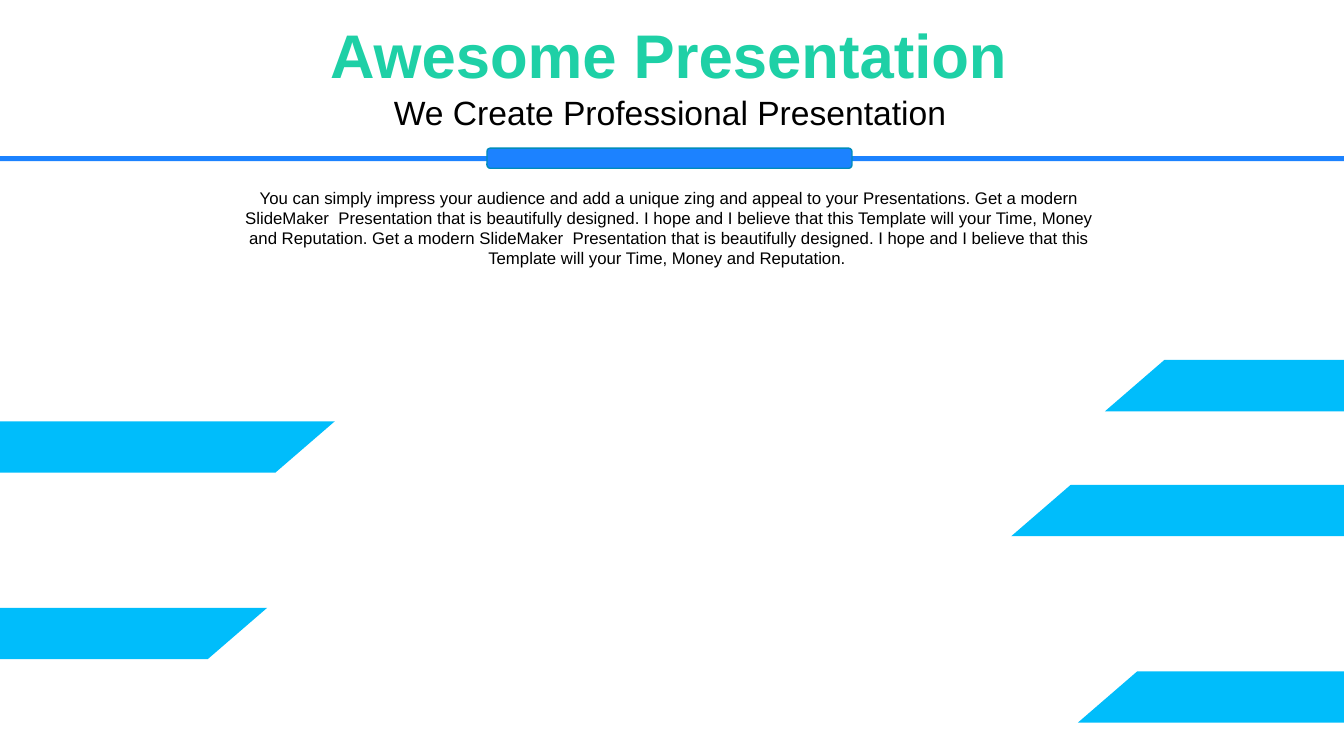
from dataclasses import dataclass

from pptx import Presentation
from pptx.dml.color import RGBColor
from pptx.enum.shapes import MSO_SHAPE
from pptx.enum.text import MSO_ANCHOR, MSO_AUTO_SIZE, PP_ALIGN
from pptx.util import Inches, Pt

RECT, ROUNDED = MSO_SHAPE.RECTANGLE, MSO_SHAPE.ROUNDED_RECTANGLE
TOP, MIDDLE = MSO_ANCHOR.TOP, MSO_ANCHOR.MIDDLE
CENTER = PP_ALIGN.CENTER
GROW = MSO_AUTO_SIZE.SHAPE_TO_FIT_TEXT


@dataclass(frozen=True)
class Theme:
    font: str = "Arial"
    title: RGBColor = RGBColor(0x1E, 0xD0, 0xA6)
    text: RGBColor = RGBColor(0x00, 0x00, 0x00)
    divider: RGBColor = RGBColor(0x1C, 0x82, 0xFF)
    outline: RGBColor = RGBColor(0x00, 0x8C, 0xBA)
    band: RGBColor = RGBColor(0x00, 0xBD, 0xFB)
    title_size: int = 44
    subtitle_size: int = 24
    body_size: int = 12


THEME = Theme()
BAND_HEIGHT = 0.51
BAND_SLANT = 0.59

# Outer edge, tip and top of each band, in inches
BANDS = [
    (13.33, 10.03, 4.81),
    (13.6, 10.96, 3.57),
    (-0.13, 3.32, 4.18),
    (-0.12, 2.65, 6.03),
    (13.46, 10.69, 6.66),
]

SENTENCE = (
    "Get a modern SlideMaker  Presentation that is beautifully designed. "
    "I hope and I believe that this Template will your Time, Money and Reputation. "
)
BODY = (
    "You can simply impress your audience and add a unique zing and appeal "
    "to your Presentations. " + SENTENCE * 2
)


def add_text(slide, box, text, size, color, bold=False, anchor=TOP,
             insets=(0.1, 0.05, 0.1, 0.05)):
    tf = slide.shapes.add_textbox(*map(Inches, box)).text_frame
    left, top, right, bottom = map(Inches, insets)
    frame_format = {
        "word_wrap": True, "auto_size": GROW, "vertical_anchor": anchor,
        "margin_left": left, "margin_top": top,
        "margin_right": right, "margin_bottom": bottom,
    }
    for name, value in frame_format.items():
        setattr(tf, name, value)
    p = tf.paragraphs[0]
    p.alignment = CENTER
    r = p.add_run()
    r.text = text
    for name, value in {"name": THEME.font, "size": Pt(size), "bold": bold}.items():
        setattr(r.font, name, value)
    r.font.color.rgb = color


def paint(sp, fill, outline=None):
    sp.shadow.inherit = False
    sp.fill.solid()
    sp.fill.fore_color.rgb = fill
    if outline is None:
        sp.line.fill.background()
    else:
        sp.line.color.rgb = outline
        sp.line.width = Pt(1)


def add_bar(slide, kind, box, outline=None):
    sp = slide.shapes.add_shape(kind, *map(Inches, box))
    paint(sp, THEME.divider, outline)


def add_band(slide, edge, tip, top):
    """Band running from a slide edge to a slanted end; it leans right on both sides."""
    bottom = top + BAND_HEIGHT
    if edge > tip:
        upper, lower = tip + BAND_SLANT, tip
    else:
        upper, lower = tip, tip - BAND_SLANT
    start, *rest = [(Inches(x), Inches(y)) for x, y in
                    ((edge, top), (upper, top), (lower, bottom), (edge, bottom))]
    builder = slide.shapes.build_freeform(*start)
    builder.add_line_segments(rest, close=True)
    paint(builder.convert_to_shape(), THEME.band)


def main():
    prs = Presentation()
    prs.slide_width, prs.slide_height = Inches(13.33), Inches(7.5)
    slide = prs.slides.add_slide(prs.slide_layouts[6])

    add_text(slide, (2.11, 0.11, 9.05, 0.84), "Awesome Presentation",
             THEME.title_size, THEME.title, bold=True, anchor=MIDDLE)
    add_text(slide, (2.11, 0.91, 9.05, 0.4), "We Create Professional Presentation",
             THEME.subtitle_size, THEME.text, insets=(0.05, 0, 0.03, 0))
    add_bar(slide, RECT, (-0.06, 1.55, 13.4, 0.05))
    add_text(slide, (2.2, 1.81, 8.88, 0.91), BODY, THEME.body_size, THEME.text)
    add_bar(slide, ROUNDED, (4.83, 1.47, 3.62, 0.2), THEME.outline)
    for band in BANDS:
        add_band(slide, *band)

    prs.save("out.pptx")


if __name__ == "__main__":
    main()
